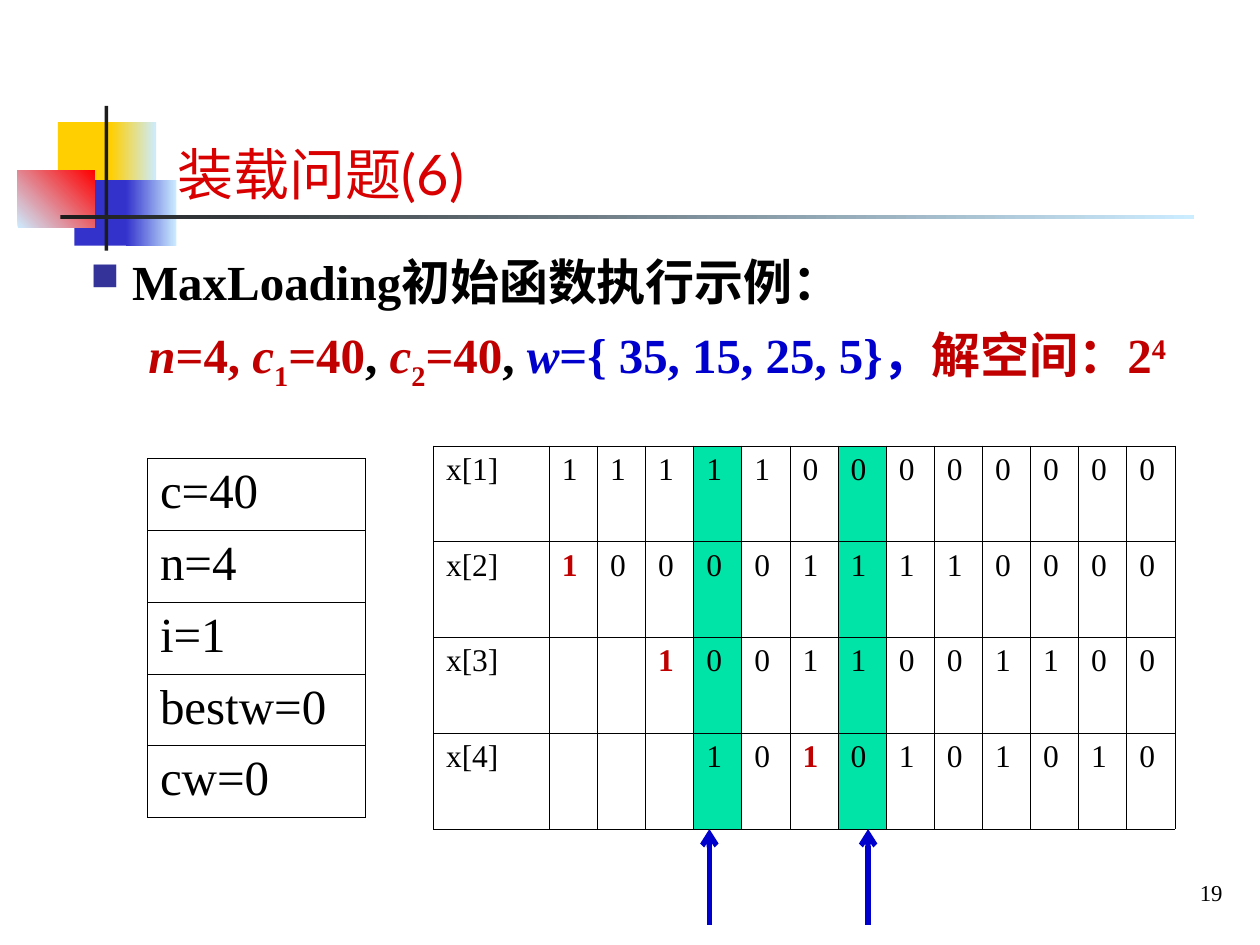
from lxml.etree import SubElement
from pptx import Presentation
from pptx.dml.color import RGBColor
from pptx.enum.shapes import MSO_CONNECTOR, MSO_SHAPE
from pptx.enum.text import MSO_ANCHOR, PP_ALIGN
from pptx.oxml import parse_xml
from pptx.oxml.ns import nsdecls, qn
from pptx.util import Inches, Pt

COLUMNS, ROWS = 100, 75
WIDTH, HEIGHT = Inches(10), Inches(7.5)
SERIF, SANS = "Times New Roman", "Lato"
COLORS = {
    "ink": "000000", "title": "D80000", "crimson": "C00000", "blue": "0000CC",
    "bullet": "333399", "gold": "FFCF01", "indigo": "3333CC", "red": "FF0000",
    "pale": "CCECFF", "dark": "1C1C1C", "highlight": "00E4A8",
}


def color(name):
    return RGBColor.from_string(COLORS[name])


def across(columns):
    return round(WIDTH * columns / COLUMNS)


def down(rows):
    return round(HEIGHT * rows / ROWS)


def place(left, top, width, height):
    return across(left), down(top), across(width), down(height)


def add_block(page, area, start, end=None, angle=0):
    block = page.shapes.add_shape(MSO_SHAPE.RECTANGLE, *place(*area))
    block.shadow.inherit = False
    block.line.fill.background()
    if end is None:
        block.fill.solid()
        block.fill.fore_color.rgb = color(start)
        return
    block.fill.gradient()
    block.fill.gradient_angle = angle
    for stop, name in zip(block.fill.gradient_stops, (start, end)):
        stop.color.rgb = color(name)


def add_span(para, text, size, ink="ink", bold=False, italic=False, baseline=0, face=SERIF):
    span = para.add_run()
    span.text = text
    font = span.font
    font.name, font.size, font.bold, font.italic = face, Pt(size), bold, italic
    font.color.rgb = color(ink)
    if baseline:
        font._element.set("baseline", str(baseline * 1000))


def add_text(page, area, anchor=MSO_ANCHOR.TOP, wrap=True):
    frame = page.shapes.add_textbox(*place(*area)).text_frame
    frame.word_wrap = wrap
    frame.vertical_anchor = anchor
    return frame.paragraphs[0]


def add_bullet(para, indent):
    properties = para._p.get_or_add_pPr()
    properties.set("marL", str(across(indent)))
    properties.set("indent", str(-across(indent)))
    tint = SubElement(properties, qn("a:buClr"))
    SubElement(tint, qn("a:srgbClr"), val=COLORS["bullet"])
    SubElement(properties, qn("a:buSzPct"), val="80000")
    SubElement(properties, qn("a:buChar"), char="■")


def draw_borders(cell):
    properties = cell._tc.get_or_add_tcPr()
    for index, side in enumerate("LRTB"):
        properties.insert(index, parse_xml(
            f'<a:ln{side} {nsdecls("a")} w="{Pt(0.45)}"><a:solidFill>'
            f'<a:srgbClr val="{COLORS["ink"]}"/></a:solidFill></a:ln{side}>'))


def add_grid(page, area, rows, widths, size, shaded=(), marked=()):
    table = page.shapes.add_table(len(rows), len(widths), *place(*area)).table
    table.first_row = table.horz_banding = False
    for column, width in zip(table.columns, widths):
        column.width = across(width)
    for row_index, values in enumerate(rows):
        table.rows[row_index].height = down(area[3] / len(rows))
        for column_index, value in enumerate(values):
            cell = table.cell(row_index, column_index)
            draw_borders(cell)
            if column_index in shaded:
                cell.fill.solid()
                cell.fill.fore_color.rgb = color("highlight")
            else:
                cell.fill.background()
            if value.strip():
                strong = (row_index, column_index) in marked
                ink = "crimson" if strong else "ink"
                add_span(cell.text_frame.paragraphs[0], value, size, ink, strong)


def add_arrow(page, column, start, end):
    arrow = page.shapes.add_connector(
        MSO_CONNECTOR.STRAIGHT, across(column), down(start), across(column), down(end))
    arrow.line.width = Pt(3)
    arrow.line.color.rgb = color("blue")
    SubElement(arrow.line._get_or_add_ln(), qn("a:tailEnd"), type="arrow")
    SubElement(arrow._element.spPr, qn("a:effectLst"))


def add_decoration(page):
    add_block(page, (4.6, 9.7, 4.8, 5.2), "gold")
    add_block(page, (8.8, 9.7, 3.6, 5.2), "gold", "pale")
    add_block(page, (5.9, 14.3, 4.6, 5.2), "indigo")
    add_block(page, (10, 14.3, 4, 5.2), "indigo", "pale")
    add_block(page, (1.4, 13.5, 6.1, 4.6), "pale", "red", 45)
    add_block(page, (8.3, 8.4, 0.3, 11.5), "dark")
    add_block(page, (4.8, 17.1, 90, 0.3), "dark", "pale")


def add_formula(page):
    para = add_text(page, (10.8, 25.3, 84.6, 6.3), wrap=False)
    add_span(para, "n", 28, "crimson", True, True)
    add_span(para, "=4, ", 28, "crimson", True)
    for index in "12":
        add_span(para, "c", 28, "crimson", True, True)
        add_span(para, index, 28, "crimson", True, baseline=-25)
        add_span(para, "=40", 28, "crimson", True)
        add_span(para, ", ", 28, "ink", True)
    add_span(para, "w", 28, "blue", True, True)
    add_span(para, "={ 35, 15, 25, 5}，", 28, "blue", True)
    add_span(para, "解空间：2", 28, "crimson", True)
    add_span(para, "4", 28, "crimson", True, baseline=30)


def main():
    deck = Presentation()
    deck.slide_width, deck.slide_height = WIDTH, HEIGHT
    page = deck.slides.add_slide(deck.slide_layouts[6])
    add_decoration(page)

    number = add_text(page, (78.9, 69, 19.1, 3.7), MSO_ANCHOR.MIDDLE)
    number.alignment = PP_ALIGN.RIGHT
    add_span(number, "19", 13)

    title = add_text(page, (13.1, 6, 84.2, 10.9), MSO_ANCHOR.BOTTOM)
    add_span(title, "装载问题(6)", 32, "title", face=SANS)

    heading = add_text(page, (6.2, 19.5, 89.3, 10.4))
    add_bullet(heading, 3.3)
    add_span(heading, "MaxLoading初始函数执行示例：", 28, bold=True)
    add_formula(page)

    state = [["c=40"], ["n=4"], ["i=1"], ["bestw=0"], ["cw=0"]]
    add_grid(page, (11.7, 36.4, 17.3, 28.5), state, [17.3], 28)

    steps = ["1111100000000", "1000011110000", "  10011001100", "   1010101010"]
    trace = [[f"x[{index}]", *digits] for index, digits in enumerate(steps, 1)]
    add_grid(page, (34.4, 35.4, 58.9, 30.4), trace, [9.2] + [3.82] * 13, 18,
             shaded=(4, 7), marked=((1, 1), (2, 3), (3, 6)))

    for column in (56.3, 68.9):
        add_arrow(page, column, 73.4, 65.8)
    deck.save("out.pptx")


if __name__ == "__main__":
    main()
